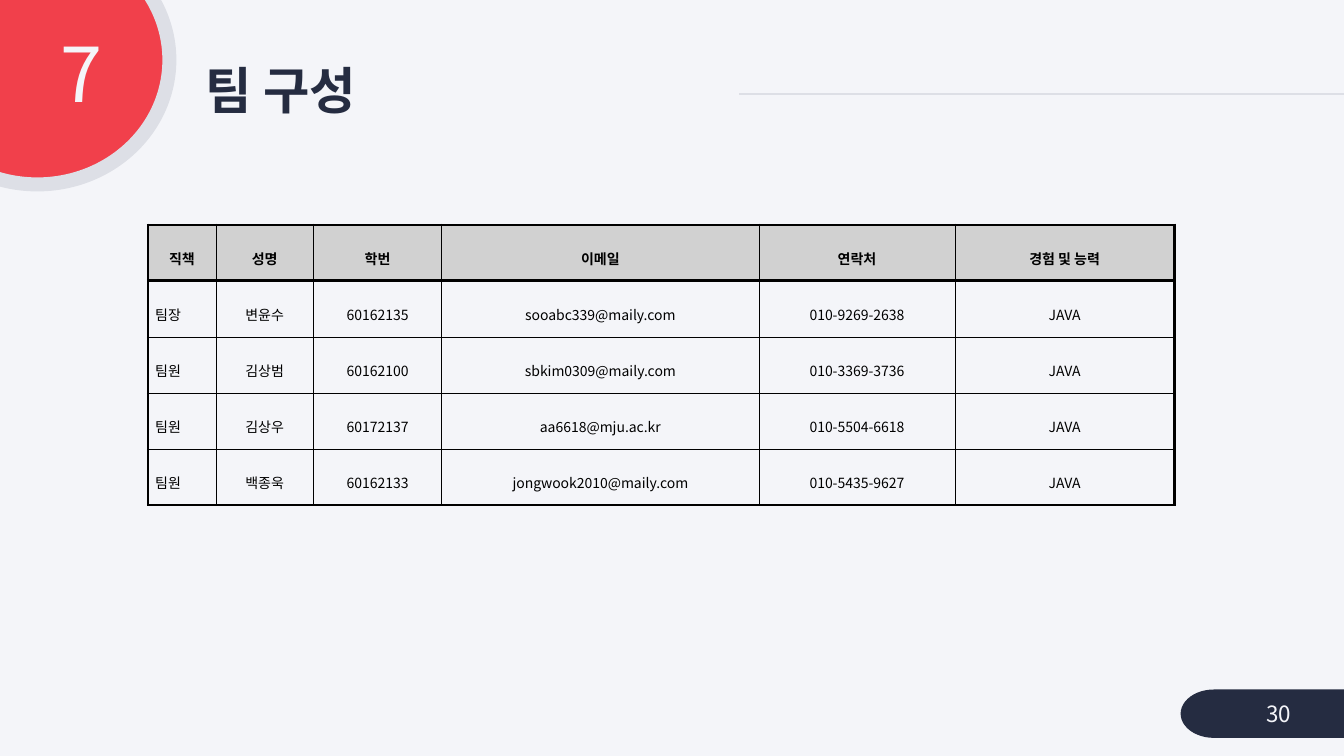
"""Build the team roster slide."""
from dataclasses import dataclass
from typing import Any

from lxml import etree
from pptx import Presentation
from pptx import util as u
from pptx.dml.color import RGBColor
from pptx.enum import shapes, text
from pptx.oxml.ns import qn

FONT = "Noto Sans CJK KR"
NAVY, RED, GREY, PALE = "252C41", "F1404B", "DDDFE6", "F4F5F9"
BLACK, HEAD = "000000", "D1D1D1"
THIN, EDGE, RULE = 0.28, 1.98, 2.55
LEFT, MID, JUST = text.PP_ALIGN.LEFT, text.PP_ALIGN.CENTER, text.PP_ALIGN.JUSTIFY
TOP, CORE = text.MSO_ANCHOR.TOP, text.MSO_ANCHOR.MIDDLE


@dataclass
class Box:
    x: float
    y: float
    w: float
    h: float

    def size(self) -> list:
        return [u.Inches(n) for n in (self.x, self.y, self.w, self.h)]


@dataclass
class Style:
    size: float
    color: str
    bold: bool = False
    align: Any = LEFT
    space: float = 1.0


@dataclass
class Badge:
    kind: Any
    box: Box
    fill: str
    line: str = ""
    width: float = 0


@dataclass
class Label:
    words: str
    box: Box
    style: Style
    anchor: Any


BADGES = [
    Badge(shapes.MSO_SHAPE.OVAL, Box(-0.94, -0.64, 2.62, 2.47), RED, GREY, 10),
    Badge(shapes.MSO_SHAPE.FLOWCHART_TERMINATOR, Box(11.71, 6.84, 2.05, 0.48), NAVY),
]
TITLE = Label("팀 구성", Box(1.94, 0.59, 5.39, 0.67), Style(36, NAVY, True, LEFT, 0.9), CORE)
LABELS = [
    Label("7", Box(-0.11, 0.32, 1.22, 0.92), Style(54, PALE, False, text.PP_ALIGN.RIGHT, 0.9), TOP),
    Label("30", Box(12.14, 6.88, 1.09, 0.4), Style(16, PALE, False, MID), CORE),
]
GRID = Box(1.47, 2.23, 10.18, 2.78)
COLS = [0.67, 0.97, 1.27, 3.15, 1.94, 2.18]
TEAM = [
    ["직책", "성명", "학번", "이메일", "연락처", "경험 및 능력"],
    ["팀장", "변윤수", "60162135", "sooabc339@maily.com", "010-9269-2638", "JAVA"],
    ["팀원", "김상범", "60162100", "sbkim0309@maily.com", "010-3369-3736", "JAVA"],
    ["팀원", "김상우", "60172137", "aa6618@mju.ac.kr", "010-5504-6618", "JAVA"],
    ["팀원", "백종욱", "60162133", "jongwook2010@maily.com", "010-5435-9627", "JAVA"],
]


def tint(code: str) -> RGBColor:
    return RGBColor.from_string(code)


def write(frame: Any, words: str, style: Style) -> None:
    para = frame.paragraphs[0]
    para.alignment, para.line_spacing = style.align, style.space
    para.space_before = u.Pt(0)
    run = para.add_run()
    run.text = words
    font = run.font
    font.name, font.size, font.bold = FONT, u.Pt(style.size), style.bold
    font.color.rgb = tint(style.color)
    east = etree.SubElement(font._element, qn("a:ea"))
    east.set("typeface", FONT)


def add_badge(slide: Any, badge: Badge) -> None:
    shape = slide.shapes.add_shape(badge.kind, *badge.box.size())
    shape.shadow.inherit = False
    shape.fill.solid()
    shape.fill.fore_color.rgb = tint(badge.fill)
    if badge.line:
        shape.line.color.rgb = tint(badge.line)
        shape.line.width = u.Pt(badge.width)
    else:
        shape.line.fill.background()


def add_rule(slide: Any) -> None:
    ends = [u.Inches(n) for n in (7.33, 0.93, 13.33, 0.93)]
    line = slide.shapes.add_connector(shapes.MSO_CONNECTOR.STRAIGHT, *ends)
    line.line.color.rgb = tint(GREY)
    line.line.width = u.Pt(1.5)
    etree.SubElement(line._element.spPr, qn("a:effectLst"))


def set_label(shape: Any, label: Label) -> None:
    shape.left, shape.top, shape.width, shape.height = label.box.size()
    frame = shape.text_frame
    frame.word_wrap, frame.auto_size = True, text.MSO_AUTO_SIZE.NONE
    frame.vertical_anchor = label.anchor
    write(frame, label.words, label.style)


def set_edges(cell: Any, edges: dict[str, float]) -> None:
    props = cell._tc.get_or_add_tcPr()
    for spot, (side, width) in enumerate(edges.items()):
        line = etree.Element(qn("a:ln" + side), w=str(u.Pt(width)))
        fill = etree.SubElement(line, qn("a:solidFill"))
        etree.SubElement(fill, qn("a:srgbClr"), val=BLACK)
        props.insert(spot, line)


def set_cell(cell: Any, row: int, col: int) -> None:
    last, end = len(TEAM) - 1, len(COLS) - 1
    cell.margin_left = cell.margin_right = u.Inches(0.07)
    cell.margin_top = cell.margin_bottom = u.Inches(0.02)
    cell.vertical_anchor = CORE
    if row == 0:
        cell.fill.solid()
        cell.fill.fore_color.rgb = tint(HEAD)
    else:
        cell.fill.background()
    align = JUST if row and col == 0 else MID
    write(cell.text_frame, TEAM[row][col], Style(10, BLACK, row == 0, align, 1.6))
    set_edges(cell, {
        "L": EDGE if col == 0 else THIN,
        "R": EDGE if col == end else THIN,
        "T": {0: EDGE, 1: RULE}.get(row, THIN),
        "B": {0: RULE, last: EDGE}.get(row, THIN),
    })


def add_team(slide: Any) -> None:
    table = slide.shapes.add_table(len(TEAM), len(COLS), *GRID.size()).table
    table.horz_banding = False
    for col, width in enumerate(COLS):
        table.columns[col].width = u.Inches(width)
    for row in range(len(TEAM)):
        table.rows[row].height = u.Inches(GRID.h / len(TEAM))
        for col in range(len(COLS)):
            set_cell(table.cell(row, col), row, col)


def main() -> None:
    deck = Presentation()
    deck.slide_width, deck.slide_height = u.Inches(13.33), u.Inches(7.5)
    slide = deck.slides.add_slide(deck.slide_layouts[5])
    slide.background.fill.solid()
    slide.background.fill.fore_color.rgb = tint(PALE)
    add_rule(slide)
    for badge in BADGES:
        add_badge(slide, badge)
    set_label(slide.shapes.title, TITLE)
    for label in LABELS:
        set_label(slide.shapes.add_textbox(*label.box.size()), label)
    add_team(slide)
    deck.save("out.pptx")


if __name__ == "__main__":
    main()
